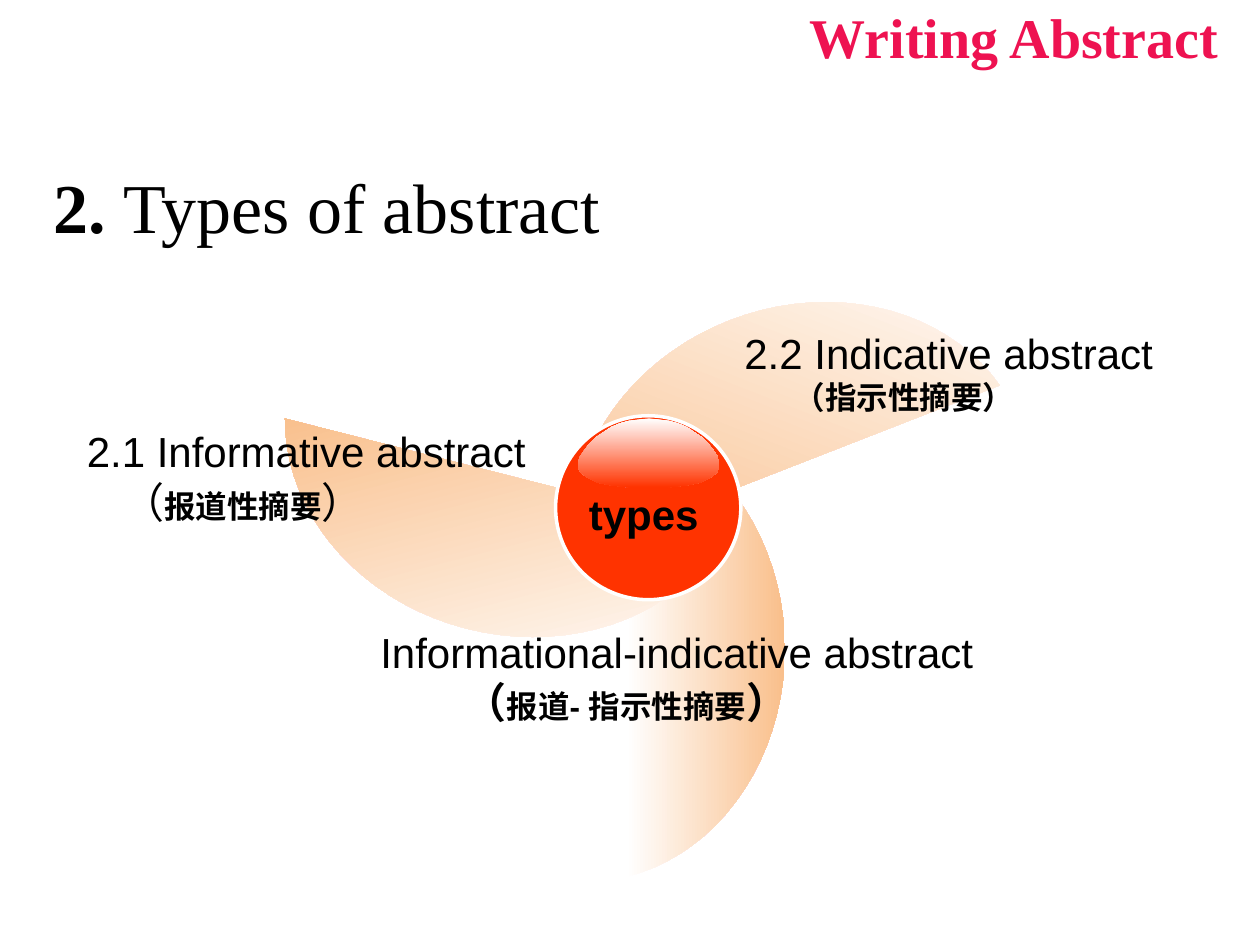
import math
from dataclasses import dataclass

import pptx
import pptx.dml.color
import pptx.enum.shapes
import pptx.enum.text
import pptx.oxml.ns
import pptx.util

Inches = pptx.util.Inches
Pt = pptx.util.Pt
Align = pptx.enum.text.PP_ALIGN
Anchor = pptx.enum.text.MSO_ANCHOR

COLORS = {
    "black": "000000",
    "white": "FFFFFF",
    "pink": "EE1251",
    "orange": "F9BF8B",
    "red": "FF3300",
}

BLADE_RADIUS_X, BLADE_RADIUS_Y = 1.59, 1.85
BLADE_HALF_ANGLE = 78

# Right half of the highlight, measured from its top centre
GLOSS_TOP = (5.15, 3.32)
GLOSS_HALF = [
    (0, 0), (0.08, 0.01), (0.16, 0.02), (0.23, 0.04), (0.3, 0.07), (0.36, 0.11),
    (0.42, 0.15), (0.47, 0.2), (0.51, 0.25), (0.55, 0.31), (0.56, 0.35),
    (0.56, 0.4), (0.54, 0.43), (0.49, 0.47), (0.41, 0.51), (0.31, 0.53), (0.14, 0.55),
]


@dataclass
class Run:
    text: str
    size: float
    bold: bool = False


@dataclass
class Paragraph:
    runs: list[Run]
    margin: float = 0
    hanging: float = 0
    space_before: float = 0


@dataclass
class TextBlock:
    left: float
    top: float
    width: float
    height: float
    paragraphs: list[Paragraph]
    font: str = "Arial"
    color: str = "black"
    wrap: bool = False
    grow: bool = True
    align: Align = Align.LEFT
    anchor: Anchor = Anchor.TOP


@dataclass
class Blade:
    left: float
    top: float
    rotation: float


BLADES = [Blade(4.97, 3.34, 0), Blade(3.23, 2.57, 104.3), Blade(5.39, 1.32, 248.7)]

HEADINGS = [
    TextBlock(0.33, 1.25, 9.33, 5.67,
              [Paragraph([Run("2. ", 40, True), Run("Types of abstract", 40)],
                         margin=0.67, hanging=0.67, space_before=10)],
              font="Times New Roman", wrap=True, grow=False),
    TextBlock(6.33, 0, 3.67, 0.58, [Paragraph([Run("Writing Abstract", 32, True)])],
              font="Times New Roman", color="pink", wrap=True, grow=False,
              anchor=Anchor.MIDDLE),
]

LABELS = [
    TextBlock(4.53, 3.83, 1.16, 0.5, [Paragraph([Run("types", 24, True)])],
              align=Align.CENTER),
    TextBlock(0.59, 3.33, 3.68, 0.9, [
        Paragraph([Run("2.1 Informative abstract", 24)]),
        Paragraph([Run("（", 24), Run("报道性摘要", 18, True), Run("）", 24)], margin=0.28),
    ]),
    TextBlock(5.81, 2.55, 3.44, 0.8, [
        Paragraph([Run("2.2 Indicative abstract", 24)]),
        Paragraph([Run("（指示性摘要）", 18, True)], margin=0.39),
    ]),
    TextBlock(2.92, 4.92, 5.17, 0.9, [
        Paragraph([Run("Informational-indicative abstract", 24)]),
        Paragraph([Run("（", 24, True), Run("报道- 指示性摘要", 18, True),
                   Run("）", 24, True)], margin=0.67),
    ], wrap=True),
]


def rgb(name: str) -> pptx.dml.color.RGBColor:
    return pptx.dml.color.RGBColor.from_string(COLORS[name])


def add_text(page, block: TextBlock) -> None:
    box = page.shapes.add_textbox(Inches(block.left), Inches(block.top),
                                  Inches(block.width), Inches(block.height))
    frame = box.text_frame
    frame.word_wrap = block.wrap
    frame.vertical_anchor = block.anchor
    if block.grow:
        frame.auto_size = pptx.enum.text.MSO_AUTO_SIZE.SHAPE_TO_FIT_TEXT
    for index, paragraph in enumerate(block.paragraphs):
        para = frame.add_paragraph() if index else frame.paragraphs[0]
        para.alignment = block.align
        para.space_before = Pt(paragraph.space_before)
        properties = para._p.get_or_add_pPr()
        properties.set("marL", str(Inches(paragraph.margin)))
        properties.set("indent", str(-Inches(paragraph.hanging)))
        for part in paragraph.runs:
            run = para.add_run()
            run.text = part.text
            run.font.name = block.font
            run.font.size = Pt(part.size)
            run.font.bold = part.bold
            run.font.color.rgb = rgb(block.color)


def add_gradient_outline(group, points: list[tuple[float, float]], end_color: str,
                         angle: float):
    """Draw a closed outline fading from white; angle is counter-clockwise on the page."""
    corners = [(Inches(x), Inches(y)) for x, y in points]
    builder = group.shapes.build_freeform(*corners[0])
    builder.add_line_segments(corners[1:], close=True)
    shape = builder.convert_to_shape()
    shape.shadow.inherit = False
    shape.line.fill.background()
    shape.fill.gradient()
    shape.fill.gradient_angle = angle
    for stop, color, position in zip(shape.fill.gradient_stops, ("white", end_color), (0, 1)):
        stop.color.rgb = rgb(color)
        stop.position = position
    gradient = shape._element.spPr.find(pptx.oxml.ns.qn("a:gradFill"))
    gradient.set("rotWithShape", "0")
    return shape


def add_blade(group, blade: Blade) -> None:
    """Draw an elliptical segment with its straight edge on the left, then turn it."""
    half = math.radians(BLADE_HALF_ANGLE)
    steps = 38
    angles = [half * (2 * step / steps - 1) for step in range(steps + 1)]
    points = [(blade.left + BLADE_RADIUS_X * (math.cos(angle) - math.cos(half)),
               blade.top + BLADE_RADIUS_Y * (math.sin(angle) + math.sin(half)))
              for angle in angles]
    shape = add_gradient_outline(group, points, "orange", blade.rotation)
    shape.rotation = blade.rotation


def add_ball(group) -> None:
    ball = group.shapes.add_shape(pptx.enum.shapes.MSO_SHAPE.OVAL, Inches(4.41),
                                  Inches(3.3), Inches(1.47), Inches(1.46))
    ball.shadow.inherit = False
    ball.fill.solid()
    ball.fill.fore_color.rgb = rgb("red")
    ball.line.color.rgb = rgb("white")
    ball.line.width = Pt(2)
    center, top = GLOSS_TOP
    right = [(center + x, top + y) for x, y in GLOSS_HALF]
    left = [(center - x, top + y) for x, y in reversed(GLOSS_HALF[1:])]
    add_gradient_outline(group, right + left, "red", 270)


def main() -> None:
    deck = pptx.Presentation()
    deck.slide_width, deck.slide_height = Inches(10), Inches(7.5)
    page = deck.slides.add_slide(deck.slide_layouts[6])
    for heading in HEADINGS:
        add_text(page, heading)
    fan = page.shapes.add_group_shape()
    for blade in BLADES:
        add_blade(fan, blade)
    add_ball(page.shapes.add_group_shape())
    for label in LABELS:
        add_text(page, label)
    deck.save("out.pptx")


if __name__ == "__main__":
    main()
